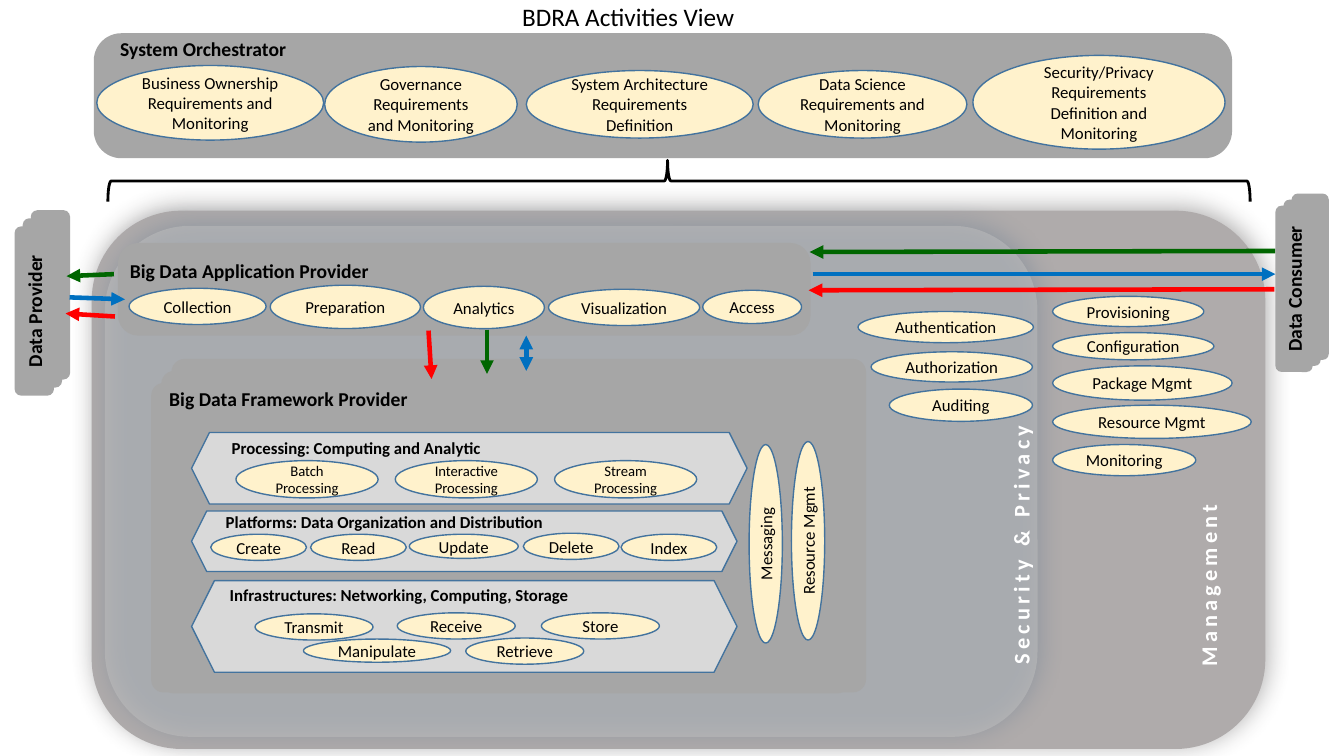
"""Build the BDRA activities view as a one-slide deck."""
from dataclasses import dataclass

from lxml import etree
from pptx import Presentation
from pptx.dml.color import RGBColor
from pptx.enum.shapes import MSO_CONNECTOR, MSO_SHAPE
from pptx.enum.text import MSO_ANCHOR, PP_ALIGN
from pptx.oxml.ns import qn
from pptx.util import Inches, Pt

ROUNDED, ELLIPSE = MSO_SHAPE.ROUNDED_RECTANGLE, MSO_SHAPE.OVAL
HEXAGON, BRACE = MSO_SHAPE.HEXAGON, MSO_SHAPE.RIGHT_BRACE
STRAIGHT = MSO_CONNECTOR.STRAIGHT
LEFT, CENTER = PP_ALIGN.LEFT, PP_ALIGN.CENTER
TOP, MIDDLE = MSO_ANCHOR.TOP, MSO_ANCHOR.MIDDLE


@dataclass(frozen=True)
class Theme:
    """Colours, type sizes and line widths of the slide."""
    font: str = "Calibri"
    ink: str = "000000"
    white: str = "FFFFFF"
    panel: str = "A6A6A6"
    management: str = "AFABAB"
    security: str = "BFBFBF"
    tier: str = "D9D9D9"
    activity: str = "FFF2CC"
    outline: str = "43739E"
    management_shadow: str = "3B3838"
    security_shadow: str = "1F4E79"
    green: str = "006600"
    blue: str = "0070C0"
    red: str = "FF0000"
    title: float = 18
    side: float = 16
    heading: float = 14
    body: float = 12
    small: float = 10.5
    thin: float = 1
    brace: float = 2
    arrow: float = 3.25


class Diagram:
    """Draws styled elements on the current slide."""

    def __init__(self, page, theme):
        """Keep the slide and its style."""
        self.theme = theme
        self.layer = page.shapes

    def typeset(self, shape, text, size, bold=False, color=None, align=CENTER, anchor=MIDDLE):
        """Fill a shape with one formatted paragraph."""
        frame = shape.text_frame
        frame.text = text
        frame.vertical_anchor = anchor
        para = frame.paragraphs[0]
        para.alignment = align
        span = para.runs[0]
        span.font.name = self.theme.font
        span.font.size = Pt(size)
        span.font.bold = bold
        span.font.color.rgb = RGBColor.from_string(color or self.theme.ink)

    def shape(self, kind, place, fill=None, line=None, width=1, adjust=(), turn=0):
        """Add a preset shape with flat fill and optional outline."""
        shape = self.layer.add_shape(kind, *map(Inches, place))
        shape.shadow.inherit = False
        shape.rotation = turn
        for index, value in enumerate(adjust):
            shape.adjustments[index] = value
        if fill:
            shape.fill.solid()
            shape.fill.fore_color.rgb = RGBColor.from_string(fill)
        else:
            shape.fill.background()
        if line:
            shape.line.color.rgb = RGBColor.from_string(line)
            shape.line.width = Pt(width)
        else:
            shape.line.fill.background()
        return shape

    def zone(self, place, fill, shadow, opacity=100):
        """Add a large rotated area with a soft shadow."""
        shape = self.shape(ROUNDED, place, fill, turn=270)
        properties = shape.element.spPr
        color = properties.find(qn("a:solidFill"))[0]
        etree.SubElement(color, qn("a:alpha"), val=str(opacity * 1000))
        effect = etree.SubElement(
            properties.find(qn("a:effectLst")), qn("a:outerShdw"),
            blurRad=str(Pt(18)), dist=str(Pt(3)), dir=str(322 * 60000), rotWithShape="0")
        tint = etree.SubElement(effect, qn("a:srgbClr"), val=shadow)
        etree.SubElement(tint, qn("a:alpha"), val="40000")

    def label(self, place, text, size, bold=True, align=LEFT, color=None, turn=0, wrap=True):
        """Add a text box and return it."""
        box = self.layer.add_textbox(*map(Inches, place))
        box.rotation = turn
        box.text_frame.word_wrap = wrap
        self.typeset(box, text, size, bold, color, align, TOP)
        return box

    def side_label(self, place, text):
        """Add a widely spaced white label that reads upwards."""
        box = self.label(place, text, self.theme.side, color=self.theme.white, turn=270)
        for properties in box.element.iter(qn("a:rPr")):
            properties.set("spc", "300")

    def activity(self, text, place, size=None, turn=0):
        """Add an activity ellipse."""
        theme = self.theme
        shape = self.shape(ELLIPSE, place, theme.activity, theme.outline, theme.thin, turn=turn)
        self.typeset(shape, text, size or theme.body)

    def activities(self, items, size=None):
        """Add several activity ellipses."""
        for text, place in items.items():
            self.activity(text, place, size)

    def role(self, text, left, top, width, height, step):
        """Add a stack of three upright cards, the front one named."""
        for index in range(3):
            place = (left - 0.08 * index, top + step * index, width, height)
            card = self.shape(ROUNDED, place, self.theme.panel, turn=270)
        self.typeset(card, text, self.theme.heading, bold=True)

    def tier(self, title, place, title_place, items, size=None):
        """Add a grouped hexagon with a heading and its activities."""
        theme, page_layer = self.theme, self.layer
        self.layer = page_layer.add_group_shape().shapes
        self.shape(HEXAGON, place, theme.tier, theme.outline, theme.thin)
        self.label(title_place, title, theme.body)
        self.activities(items, size)
        self.layer = page_layer

    def arrow(self, start, end, color, both=False):
        """Add a straight arrow, optionally with two heads."""
        line = self.layer.add_connector(STRAIGHT, *map(Inches, start + end))
        line.line.color.rgb = RGBColor.from_string(color)
        line.line.width = Pt(self.theme.arrow)
        properties = line.element.spPr
        for tag in ("a:headEnd", "a:tailEnd") if both else ("a:tailEnd",):
            etree.SubElement(properties.find(qn("a:ln")), qn(tag), type="triangle")
        etree.SubElement(properties, qn("a:effectLst"))


theme = Theme()
deck = Presentation()
deck.slide_width, deck.slide_height = Inches(13.33), Inches(7.5)
diagram = Diagram(deck.slides.add_slide(deck.slide_layouts[6]), theme)

diagram.zone((4.06, -1.06, 5.34, 11.64), theme.management, theme.management_shadow)
diagram.zone((3.13, 0.15, 5.07, 9.25), theme.security, theme.security_shadow, 51)
diagram.shape(ROUNDED, (1.17, 2.41, 6.87, 0.92), theme.panel, adjust=[0.22])
diagram.side_label((8.71, 5.09, 2.83, 0.37), "Security & Privacy")
diagram.side_label((10.57, 5.11, 2.83, 0.37), "Management")
diagram.arrow((12.65, 2.49), (8.03, 2.5), theme.green)
diagram.role("Data Consumer", 12.17, 2.56, 1.65, 0.37, 0.06)
diagram.role("Data Provider", -0.34, 2.73, 1.68, 0.39, 0.08)

for place in ((1.7, 3.56, 6.89, 3.31), (1.6, 3.68, 6.83, 3.2), (1.5, 3.8, 6.81, 3.07)):
    diagram.shape(ROUNDED, place, theme.panel, adjust=[0.04])
diagram.label((1.58, 3.79, 3.01, 0.34), "Big Data Framework Provider", theme.heading)
diagram.label((1.19, 2.52, 6.04, 0.34), "Big Data Application Provider", theme.heading)
diagram.activities({
    "Collection": (1.28, 2.86, 1.36, 0.36), "Preparation": (2.68, 2.83, 1.49, 0.43),
    "Analytics": (4.2, 2.84, 1.2, 0.42), "Visualization": (5.44, 2.87, 1.5, 0.36),
    "Access": (6.97, 2.88, 0.98, 0.33)})

diagram.shape(ROUNDED, (0.93, 0.33, 11.29, 1.24), theme.panel, adjust=[0.22])
diagram.label((0.78, 0.32, 2.47, 0.34), "System Orchestrator", theme.heading, align=CENTER)
diagram.activities({
    "Business Ownership Requirements and Monitoring": (0.96, 0.65, 2.25, 0.74),
    "Governance Requirements and Monitoring": (3.22, 0.66, 1.91, 0.75),
    "System Architecture Requirements Definition": (5.22, 0.7, 2.25, 0.67),
    "Data Science Requirements and Monitoring": (7.52, 0.7, 2.07, 0.67),
    "Security/Privacy Requirements Definition and Monitoring": (9.65, 0.55, 2.5, 0.93)})
diagram.label((5.08, -0.04, 2.33, 0.4), "BDRA Activities View", theme.title, bold=False, wrap=False)
diagram.shape(BRACE, (6.53, -3.87, 0.41, 11.33), line=theme.ink, width=theme.brace,
              adjust=[0.08, 0.49], turn=270)

modes = ("Batch", "Interactive", "Stream")
diagram.tier(
    "Processing: Computing and Analytic", (1.9, 4.29, 5.51, 0.71), (2.2, 4.29, 5.07, 0.3),
    {f"{mode} Processing": (2.34 + 1.58 * column, 4.57, 1.41, 0.37)
     for column, mode in enumerate(modes)}, theme.small)
diagram.tier(
    "Platforms: Data Organization and Distribution", (1.9, 5.07, 5.41, 0.6),
    (2.14, 5.03, 5.37, 0.3),
    {"Create": (2.09, 5.3, 0.95, 0.26), "Read": (3.08, 5.3, 0.95, 0.26),
     "Update": (4.06, 5.3, 1.08, 0.24), "Delete": (5.19, 5.29, 0.95, 0.26),
     "Index": (6.16, 5.3, 0.95, 0.26)})
diagram.tier(
    "Infrastructures: Networking, Computing, Storage", (1.9, 5.76, 5.41, 0.91),
    (2.18, 5.75, 4.99, 0.3),
    {"Transmit": (2.53, 6.09, 1.17, 0.26), "Receive": (3.94, 6.08, 1.17, 0.26),
     "Store": (5.37, 6.08, 1.17, 0.26), "Retrieve": (4.62, 6.33, 1.17, 0.26),
     "Manipulate": (3.01, 6.34, 1.46, 0.23)})
diagram.activity("Messaging", (6.61, 5.23, 1.97, 0.33), turn=270)
diagram.activity("Resource Mgmt", (7.03, 5.2, 1.97, 0.33), turn=270)

diagram.activities({
    "Authentication": (8.51, 3.09, 1.74, 0.31), "Authorization": (8.64, 3.49, 1.6, 0.3),
    "Auditing": (8.82, 3.86, 1.42, 0.32), "Provisioning": (10.44, 2.94, 1.5, 0.3),
    "Configuration": (10.44, 3.3, 1.6, 0.27), "Package Mgmt": (10.44, 3.63, 1.78, 0.34),
    "Resource Mgmt": (10.44, 4.02, 1.97, 0.33), "Monitoring": (10.44, 4.41, 1.42, 0.31)})

for start, end, color in (
        ((8.06, 2.72), (12.65, 2.72), theme.blue), ((12.64, 2.87), (8.02, 2.88), theme.red),
        ((1.13, 2.72), (0.66, 2.74), theme.green), ((0.69, 2.95), (1.24, 2.97), theme.blue),
        ((1.14, 3.14), (0.65, 3.11), theme.red), ((4.25, 3.28), (4.28, 3.76), theme.red),
        ((4.83, 3.27), (4.83, 3.71), theme.green)):
    diagram.arrow(start, end, color)
diagram.arrow((5.22, 3.33), (5.22, 3.68), theme.blue, both=True)

deck.save("out.pptx")
